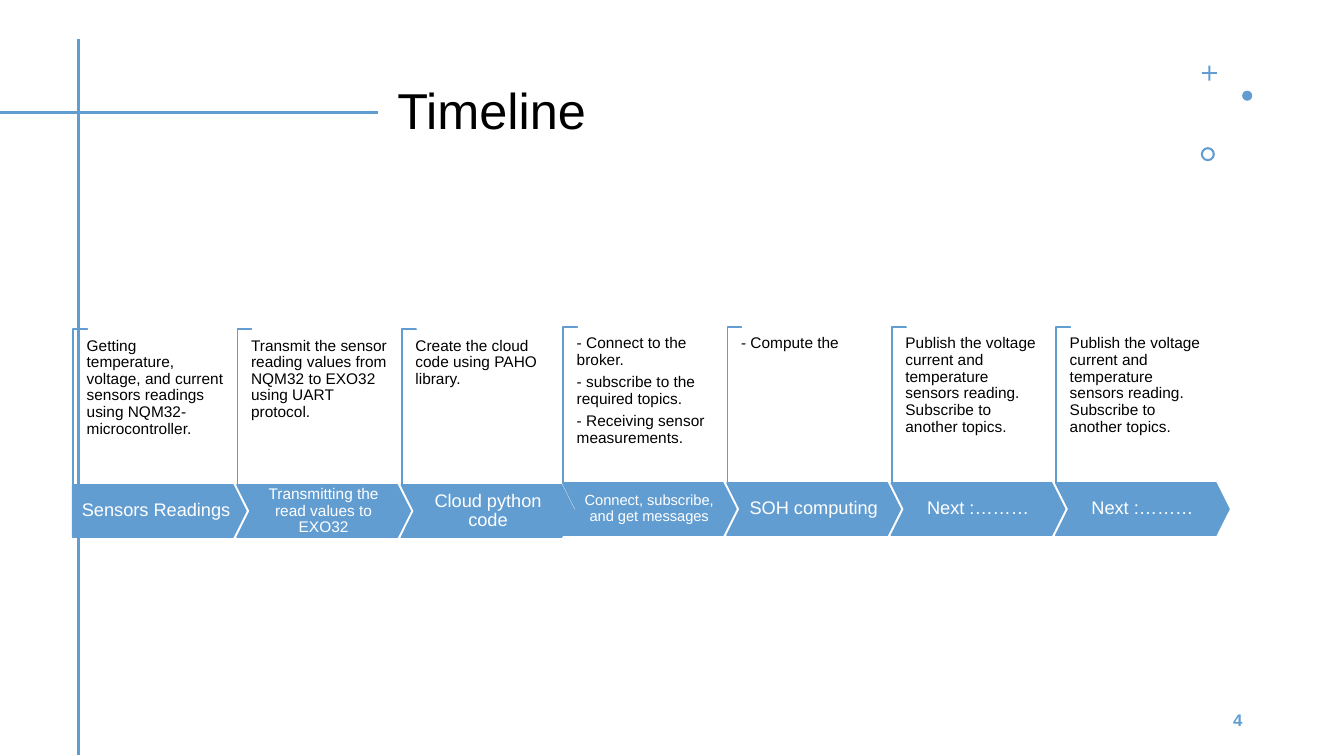
from dataclasses import dataclass

from lxml import etree
from pptx import Presentation
from pptx.dml.color import RGBColor
from pptx.enum.shapes import MSO_CONNECTOR, MSO_SHAPE
from pptx.enum.text import MSO_ANCHOR, PP_ALIGN
from pptx.oxml.ns import qn
from pptx.util import Emu, Pt

PX = 9144  # 100 px to the inch
STRAIGHT = MSO_CONNECTOR.STRAIGHT
CHEVRON, PENTAGON = MSO_SHAPE.CHEVRON, MSO_SHAPE.PENTAGON
CORNER, CROSS = MSO_SHAPE.CORNER, MSO_SHAPE.CROSS
OVAL, DONUT = MSO_SHAPE.OVAL, MSO_SHAPE.DONUT
LEFT, CENTER, RIGHT = PP_ALIGN.LEFT, PP_ALIGN.CENTER, PP_ALIGN.RIGHT
TOP, MIDDLE = MSO_ANCHOR.TOP, MSO_ANCHOR.MIDDLE


@dataclass(frozen=True)
class Theme:
    font: str = "Arial"
    accent: RGBColor = RGBColor(0x62, 0x9D, 0xD1)
    ink: RGBColor = RGBColor(0, 0, 0)
    white: RGBColor = RGBColor(255, 255, 255)
    title_size: float = 36
    label_size: float = 13
    long_label_size: float = 11
    small_label_size: float = 10.5
    body_size: float = 11
    number_size: float = 12


THEME = Theme()

STEP_PITCH, STEP_WIDTH, STEP_HEIGHT = 163, 172, 52
BRACKET_LENGTH, BRACKET_DEPTH = 155, 14

# A no-break space joins "reading." and "Subscribe"
PUBLISH = ["Publish the voltage current and temperature sensors reading. Subscribe to another topics."]

# Each run of steps: left, top, then (label, label size, description paragraphs)
STEP_RUNS = [
    (72, 481, [
        ("Sensors Readings", THEME.label_size,
         ["Getting temperature, voltage, and current sensors readings using NQM32-microcontroller."]),
        ("Transmitting the read values to EXO32", THEME.long_label_size,
         ["Transmit the sensor reading values from NQM32 to EXO32 using UART protocol."]),
        ("Cloud python code", THEME.label_size,
         ["Create the cloud code using PAHO library."]),
    ]),
    (558, 479, [
        ("Connect, subscribe, and get messages", THEME.small_label_size,
         ["- Connect to the broker.",
          "- subscribe to the required topics.",
          "- Receiving sensor measurements."]),
        ("SOH computing", THEME.label_size, ["- Compute the"]),
        ("Next :………", THEME.label_size, PUBLISH),
        ("Next :………", THEME.label_size, PUBLISH),
    ]),
]


def box(left, top, width, height):
    return [Emu(length * PX) for length in (left, top, width, height)]


def write_text(shape, paragraphs, size, color, align=LEFT, anchor=TOP,
               side_inset=0, bold=False, space_after=0):
    frame = shape.text_frame
    frame.word_wrap = True
    frame.vertical_anchor = anchor
    frame.margin_left = frame.margin_right = Emu(side_inset * PX)
    frame.margin_top = frame.margin_bottom = 0
    frame.text = "\n".join(paragraphs)
    for paragraph in frame.paragraphs:
        paragraph.alignment = align
        paragraph.line_spacing = 0.9
        paragraph.space_before = Pt(0)
        paragraph.space_after = Pt(space_after)
        font = paragraph.font
        font.name, font.size, font.bold = THEME.font, Pt(size), bold
        font.color.rgb = color


def add_preset(slide, kind, bounds, adjustments=(), fill=THEME.accent, outlined=False):
    shape = slide.shapes.add_shape(kind, *box(*bounds))
    shape.shadow.inherit = False
    for index, value in enumerate(adjustments):
        shape.adjustments[index] = value
    shape.fill.solid()
    shape.fill.fore_color.rgb = fill
    if outlined:
        shape.line.color.rgb = THEME.accent
        shape.line.width = Pt(1)
    else:
        shape.line.fill.background()
    return shape


def add_rule(slide, start_x, start_y, end_x, end_y):
    rule = slide.shapes.add_connector(STRAIGHT, *box(start_x, start_y, end_x, end_y))
    rule.line.color.rgb = THEME.accent
    rule.line.width = Pt(2)
    etree.SubElement(rule.element.spPr, qn("a:effectLst"))


def add_title(slide, text):
    title = slide.shapes.title
    title.left, title.top, title.width, title.height = box(384, 40, 783, 145)
    write_text(title, [text], THEME.title_size, THEME.ink, anchor=MIDDLE, side_inset=10)


def add_ornaments(slide):
    add_preset(slide, CROSS, (1192, 65, 15, 15), [0.44])
    add_preset(slide, OVAL, (1232, 90, 10, 10))
    add_preset(slide, DONUT, (1191, 146, 14, 14), [0.15])


def add_bracket(slide, left, bottom):
    """Thin corner turned a quarter, so it stands on the step's left edge."""
    center_x = left + BRACKET_DEPTH // 2
    center_y = bottom - BRACKET_LENGTH // 2
    bounds = (center_x - BRACKET_LENGTH // 2, center_y - BRACKET_DEPTH // 2,
              BRACKET_LENGTH, BRACKET_DEPTH)
    bracket = add_preset(slide, CORNER, bounds, [0.01, 0.01], THEME.white, outlined=True)
    bracket.rotation = 90


def add_step(slide, kind, left, top, label, label_size, description):
    add_bracket(slide, left, top)
    arrow = add_preset(slide, kind, (left, top, STEP_WIDTH, STEP_HEIGHT), [0.25], outlined=True)
    write_text(arrow, [label], label_size, THEME.white, CENTER, MIDDLE, side_inset=8)
    note = slide.shapes.add_textbox(*box(left + 14, top - 146, 139, 91))
    write_text(note, description, THEME.body_size, THEME.ink, space_after=4)


def add_timeline(slide):
    kind = PENTAGON  # only the very first step has a flat back
    for run_left, top, steps in STEP_RUNS:
        for index, step in enumerate(steps):
            add_step(slide, kind, run_left + index * STEP_PITCH, top, *step)
            kind = CHEVRON


def add_page_number(slide, number):
    page_number = slide.shapes.add_textbox(*box(942, 695, 300, 40))
    write_text(page_number, [number], THEME.number_size, THEME.accent, RIGHT, MIDDLE,
               side_inset=10, bold=True)


def main():
    presentation = Presentation()
    presentation.slide_width, presentation.slide_height = Emu(1333 * PX), Emu(750 * PX)
    slide = presentation.slides.add_slide(presentation.slide_layouts[5])
    add_rule(slide, 78, 39, 78, 749)
    add_title(slide, "Timeline")
    add_ornaments(slide)
    add_rule(slide, 0, 112, 375, 112)
    add_page_number(slide, "4")
    add_timeline(slide)
    presentation.save("out.pptx")


if __name__ == "__main__":
    main()
